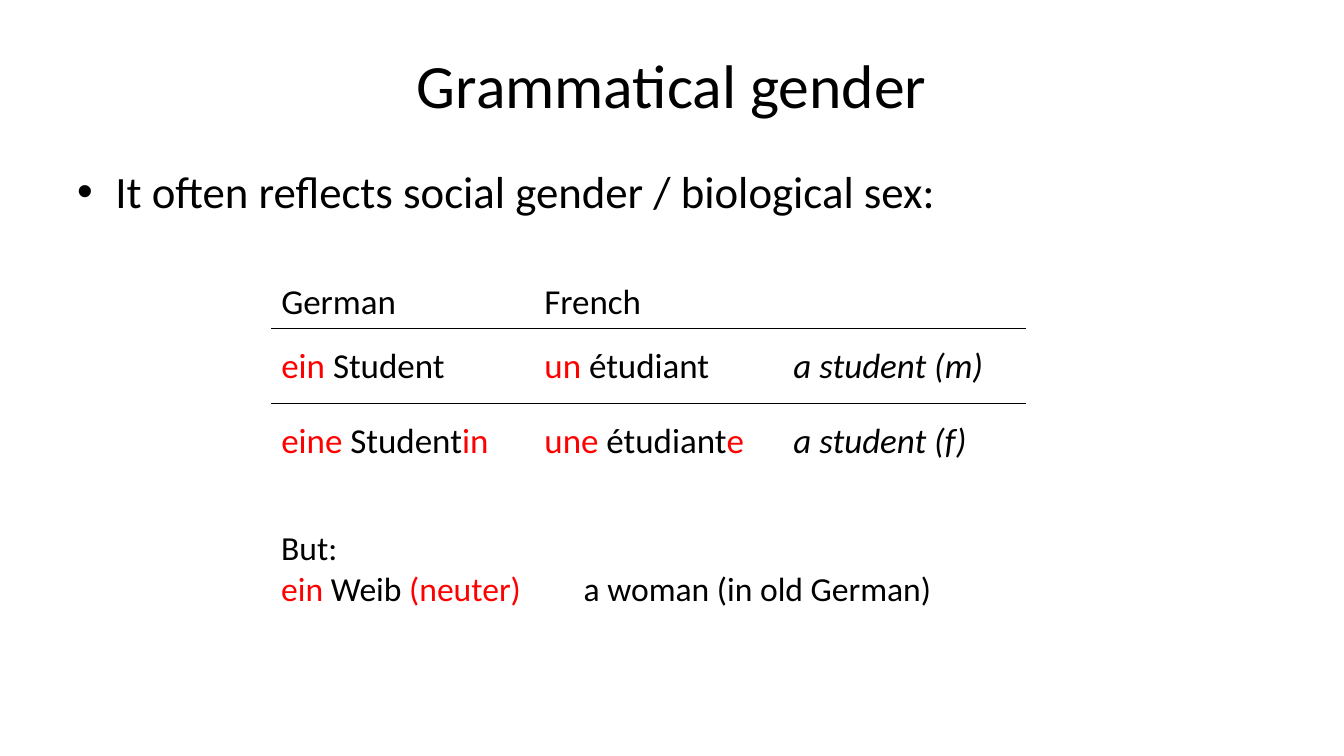
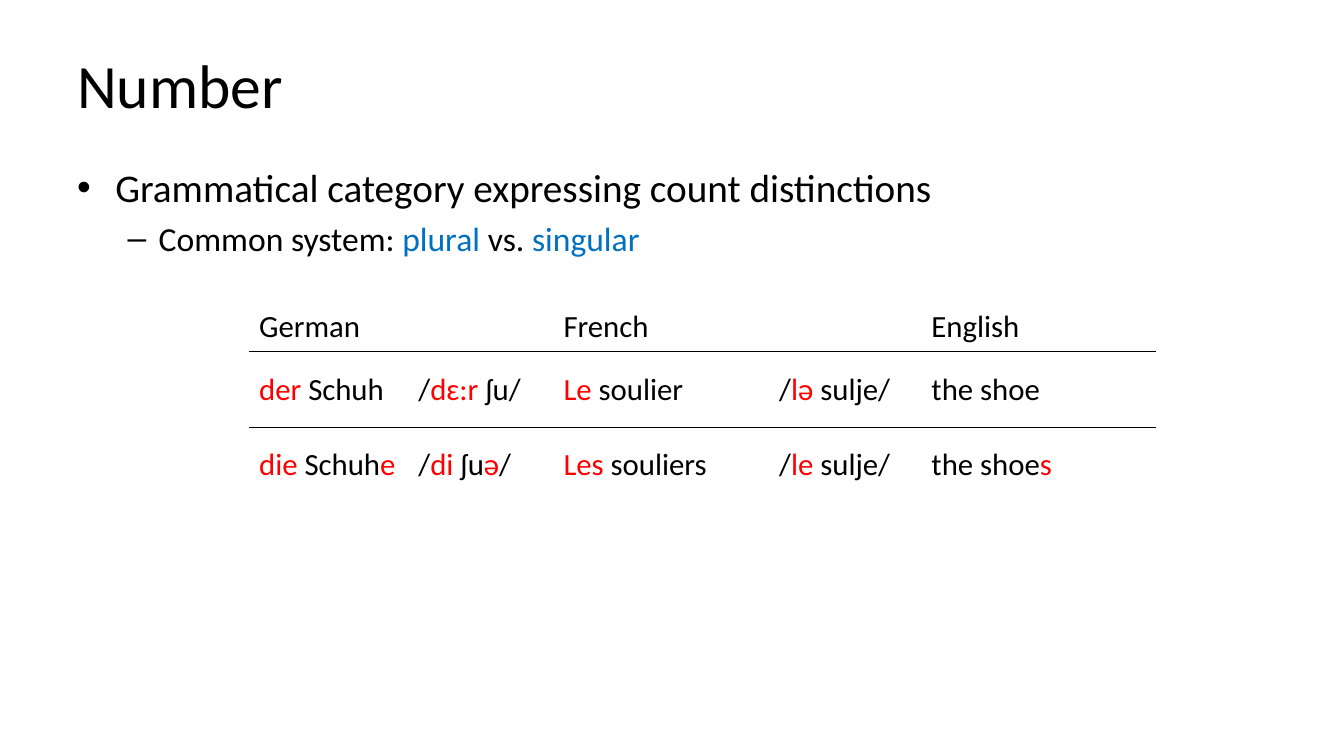
from lxml import etree
from pptx import Presentation
from pptx.dml.color import RGBColor
from pptx.enum.text import MSO_ANCHOR, PP_ALIGN
from pptx.oxml.ns import qn
from pptx.util import Inches, Pt

MIDDLE = MSO_ANCHOR.MIDDLE
TOP = MSO_ANCHOR.TOP
LEFT = PP_ALIGN.LEFT
CENTER = PP_ALIGN.CENTER

FONT = "Calibri"
INK = "000000"
RED = "FF0000"
BLUE = "0070C0"
PLAIN_TABLE = "{2D5ABB26-0587-4C30-8999-92F81FD0307C}"
BULLETS = [("•", 0.38, 0.38), ("–", 0.81, 0.31)]
ROW_HEIGHTS = [6.53, 10, 10]


def color(value):
    return RGBColor.from_string(value)


def write(para, text, size, accent=RED, italic=False, align=LEFT):
    """Pieces between bars take the accent colour."""
    para.alignment = align
    for index, piece in enumerate(text.split("|")):
        if piece:
            span = para.add_run()
            span.text = piece
            span.font.name = FONT
            span.font.size = Pt(size)
            span.font.italic = italic
            span.font.color.rgb = color(accent if index % 2 else INK)


def set_bullet(para, level):
    mark, margin, hang = BULLETS[level]
    properties = para._p.get_or_add_pPr()
    properties.set("marL", str(Inches(margin)))
    properties.set("indent", str(-Inches(hang)))
    etree.SubElement(properties, qn("a:buFont"), typeface="Arial")
    etree.SubElement(properties, qn("a:buChar"), char=mark)


def set_tabs(para, stops):
    tabs = etree.SubElement(para._p.get_or_add_pPr(), qn("a:tabLst"))
    for stop in stops:
        etree.SubElement(tabs, qn("a:tab"), pos=str(Inches(stop)), algn="l")


def set_border(cell, side):
    line = etree.Element(qn("a:" + side), w=str(Pt(1)))
    fill = etree.SubElement(line, qn("a:solidFill"))
    etree.SubElement(fill, qn("a:srgbClr"), val=INK)
    cell._tc.get_or_add_tcPr().insert(0, line)


class Lecture:
    def __init__(self):
        self.deck = Presentation()
        self.deck.slide_width = Inches(13.33)
        self.deck.slide_height = Inches(7.5)
        self.page = None

    def across(self, percent):
        return round(self.deck.slide_width * percent / 100)

    def down(self, percent):
        return round(self.deck.slide_height * percent / 100)

    def place(self, left, top, width, height):
        return self.across(left), self.down(top), self.across(width), self.down(height)

    def text_frame(self, area, anchor=TOP):
        frame = self.page.shapes.add_textbox(*self.place(*area)).text_frame
        frame.word_wrap = True
        frame.vertical_anchor = anchor
        return frame

    def paragraphs(self, frame, count):
        for _ in range(count - 1):
            frame.add_paragraph()
        return frame.paragraphs

    def start(self, title, align=LEFT):
        self.page = self.deck.slides.add_slide(self.deck.slide_layouts[6])
        frame = self.text_frame((5, 4, 90, 14.13), MIDDLE)
        write(frame.paragraphs[0], title, 44, align=align)

    def bullets(self, items):
        frame = self.text_frame((5, 21, 90, 68.27))
        for para, (level, size, text) in zip(self.paragraphs(frame, len(items)), items):
            write(para, text, size, accent=BLUE)
            para.space_before = Pt(size * 0.2)
            set_bullet(para, level)

    def table(self, left, top, widths, rows, size, italic_column=None):
        area = self.place(left, top, sum(widths), sum(ROW_HEIGHTS))
        frame = self.page.shapes.add_table(len(rows), len(widths), *area)
        table = frame.table
        table.first_row = table.horz_banding = False
        table._tbl.tblPr.find(qn("a:tableStyleId")).text = PLAIN_TABLE
        for column, width in zip(table.columns, widths):
            column.width = self.across(width)
        for row, height in zip(table.rows, ROW_HEIGHTS):
            row.height = self.down(height)
        for r, texts in enumerate(rows):
            for c, text in enumerate(texts):
                cell = table.cell(r, c)
                cell.fill.background()
                cell.vertical_anchor = MIDDLE
                write(cell.text_frame.paragraphs[0], text, size, italic=c == italic_column)
                if r < 2:
                    set_border(cell, "lnT" if r else "lnB")

    def note(self, area, lines, tabs):
        frame = self.text_frame(area)
        for para, text in zip(self.paragraphs(frame, len(lines)), lines):
            write(para, text, 24)
            set_tabs(para, tabs)


def main():
    lecture = Lecture()

    lecture.start("Grammatical gender", align=CENTER)
    lecture.bullets([(0, 32, "It often reflects social gender / biological sex:")])
    lecture.table(20.18, 36.53, [19.58, 18.53, 18.08], [
        ["German", "French", ""],
        ["|ein |Student", "|un |étudiant", "a student (m)"],
        ["|eine |Student|in|", "|une |étudiant|e|", "a student (f)"],
    ], 25, italic_column=2)
    lecture.note((20.18, 69.07, 56.25, 12.13), [
        "But:",
        "|ein |Weib |(neuter)|\t\ta woman (in old German)",
    ], tabs=[2.5, 3])

    lecture.start("Number")
    lecture.bullets([
        (0, 28, "Grammatical category expressing count distinctions"),
        (1, 24, "Common system: |plural| vs. |singular|"),
    ])
    lecture.table(18.53, 40, [11.85, 10.8, 16.05, 11.33, 17.48], [
        ["German", "", "French", "", "English"],
        ["|der |Schuh", "/|dɛ:r |ʃu/", "|Le |soulier", "/|lə |sulje/", "the shoe"],
        ["|die |Schuh|e|", "/|di |ʃu|ə|/", "|Les |souliers", "/|le |sulje/", "the shoe|s|"],
    ], 22)

    lecture.deck.save("out.pptx")


if __name__ == "__main__":
    main()
